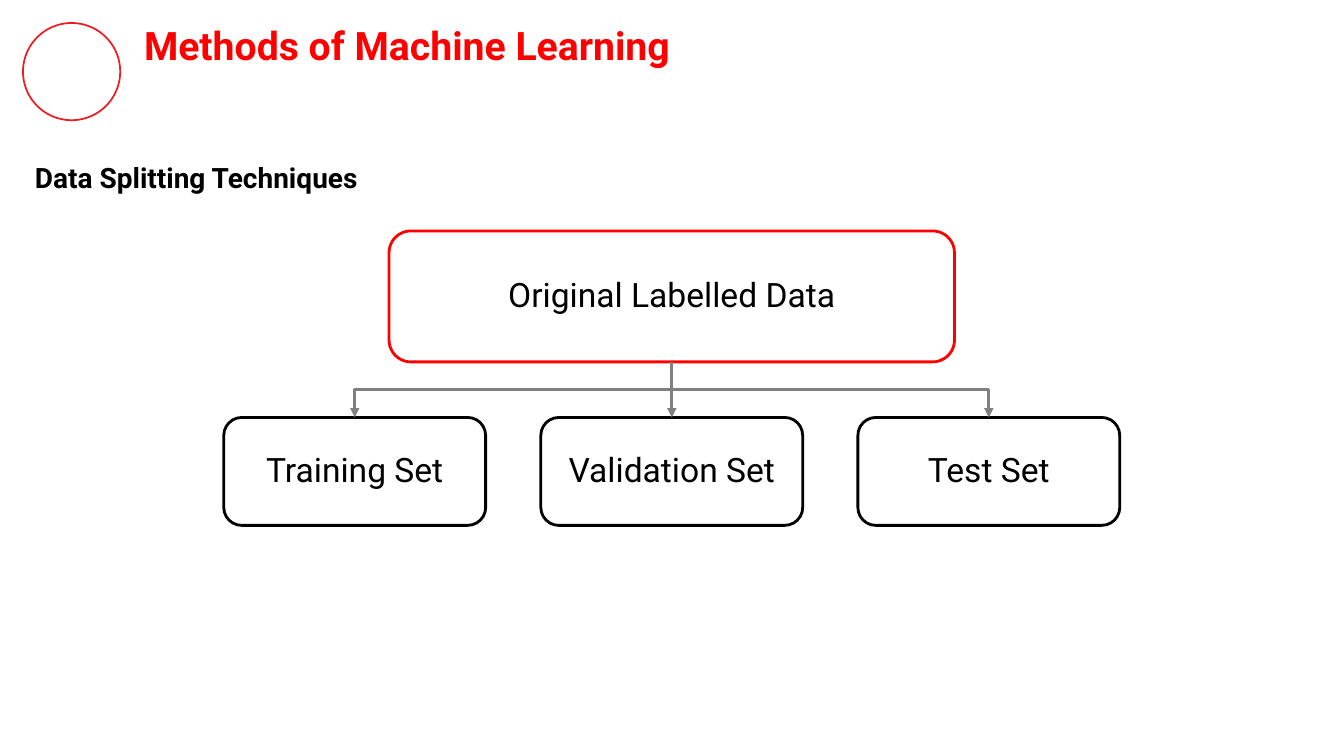
"""Build a slide on splitting labelled data into three sets."""
from lxml.etree import SubElement
from pptx import Presentation
from pptx.dml.color import RGBColor
from pptx.enum.shapes import MSO_CONNECTOR, MSO_SHAPE
from pptx.enum.text import MSO_ANCHOR, PP_ALIGN
from pptx.oxml.ns import qn
from pptx.util import Cm, Pt


def color(hex_value):
    return RGBColor.from_string(hex_value)


def write(shape, text, size, hex_value, bold, anchor, margin):
    frame = shape.text_frame
    layout = {"word_wrap": True, "vertical_anchor": anchor}
    for side in ("left", "right", "top", "bottom"):
        layout[f"margin_{side}"] = Cm(margin)
    for name, value in layout.items():
        setattr(frame, name, value)
    paragraph = frame.paragraphs[0]
    run = paragraph.add_run()
    run.text = text
    for name, value in {"name": "Roboto", "size": Pt(size), "bold": bold}.items():
        setattr(run.font, name, value)
    run.font.color.rgb = color(hex_value)
    return paragraph


presentation = Presentation()
presentation.slide_width = Cm(33.87)
presentation.slide_height = Cm(19.05)
slide = presentation.slides.add_slide(presentation.slide_layouts[6])
shapes = slide.shapes

ring = shapes.add_shape(MSO_SHAPE.OVAL, Cm(0.58), Cm(0.58), Cm(2.45), Cm(2.45))
ring.shadow.inherit = False
ring.fill.background()
ring.line.color.rgb = color("ED1D24")
ring.line.width = Pt(1.25)

title = shapes.add_textbox(Cm(3.38), Cm(0.3), Cm(28.4), Cm(1.7))
write(title, "Methods of Machine Learning", 28, "FF0001", True, MSO_ANCHOR.TOP, 0.25)

subtitle = shapes.add_textbox(Cm(0.33), Cm(3.56), Cm(17.96), Cm(1.8))
heading = write(subtitle, "Data Splitting Techniques", 20, "000000", True, MSO_ANCHOR.MIDDLE, 0.25)
heading.space_after = Pt(12)
heading._p.get_or_add_pPr().set("marL", str(Cm(0.3)))

center = 16.93
pitch = 7.99
source_top, source_height = 5.82, 3.3
set_top, set_height = 10.52, 2.72
nodes = [("Original Labelled Data", center, source_top, 14.25, source_height, "FF0000")]
for step, label in enumerate(("Training Set", "Validation Set", "Test Set"), -1):
    nodes.append((label, center + step * pitch, set_top, 6.6, set_height, "000000"))

boxes = []
for label, middle, top, width, height, outline in nodes:
    box = shapes.add_shape(
        MSO_SHAPE.ROUNDED_RECTANGLE, Cm(middle - width / 2), Cm(top), Cm(width), Cm(height)
    )
    box.shadow.inherit = False
    box.fill.solid()
    box.fill.fore_color.rgb = color("FFFFFF")
    box.line.color.rgb = color(outline)
    box.line.width = Pt(2)
    caption = write(box, label, 24, "000000", False, MSO_ANCHOR.MIDDLE, 0.19)
    caption.alignment = PP_ALIGN.CENTER
    caption.line_spacing = 0.9
    boxes.append(box)

source_box, *set_boxes = boxes
source_bottom = source_top + source_height
drop = set_top - source_bottom
for step, set_box in enumerate(set_boxes, -1):
    kind = MSO_CONNECTOR.ELBOW if step else MSO_CONNECTOR.STRAIGHT
    arrow = shapes.add_connector(
        kind, Cm(center), Cm(source_bottom), Cm(center + step * pitch), Cm(set_top)
    )
    arrow.begin_connect(source_box, 2)
    arrow.end_connect(set_box, 0)
    properties = arrow._element.spPr
    if step:
        turned = {
            "left": Cm(center + (step * pitch - drop) / 2),
            "top": Cm(source_bottom + (drop - pitch) / 2),
            "width": Cm(drop),
            "height": Cm(pitch),
        }
        for name, value in turned.items():
            setattr(arrow, name, value)
        properties.xfrm.set("rot", "5400000" if step < 0 else "16200000")
        properties.xfrm.set("flipH", "0" if step < 0 else "1")
    arrow.line.color.rgb = color("808080")
    arrow.line.width = Pt(2.25)
    SubElement(arrow.line._get_or_add_ln(), qn("a:tailEnd"), type="triangle")
    SubElement(properties, qn("a:effectLst"))

presentation.save("out.pptx")
